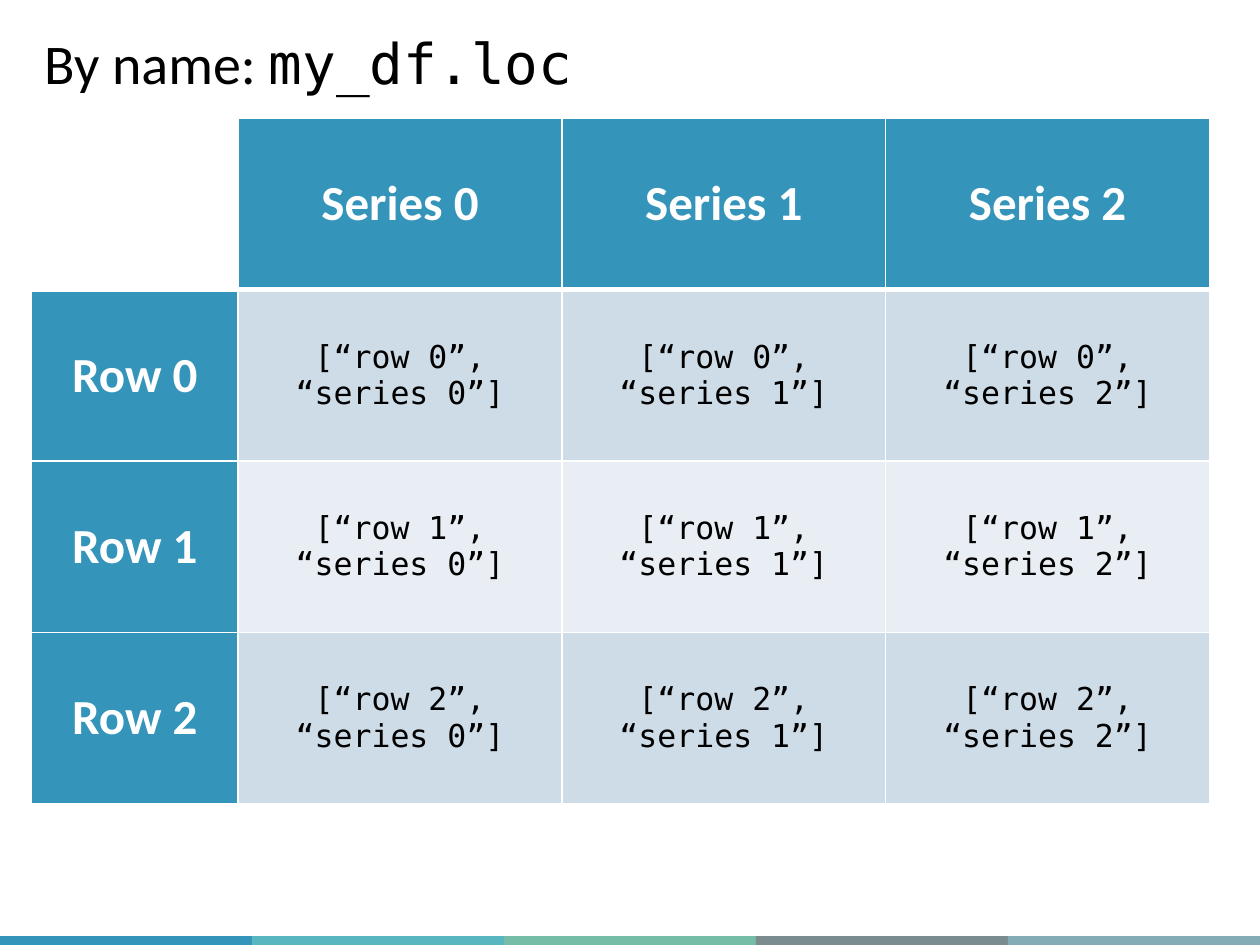
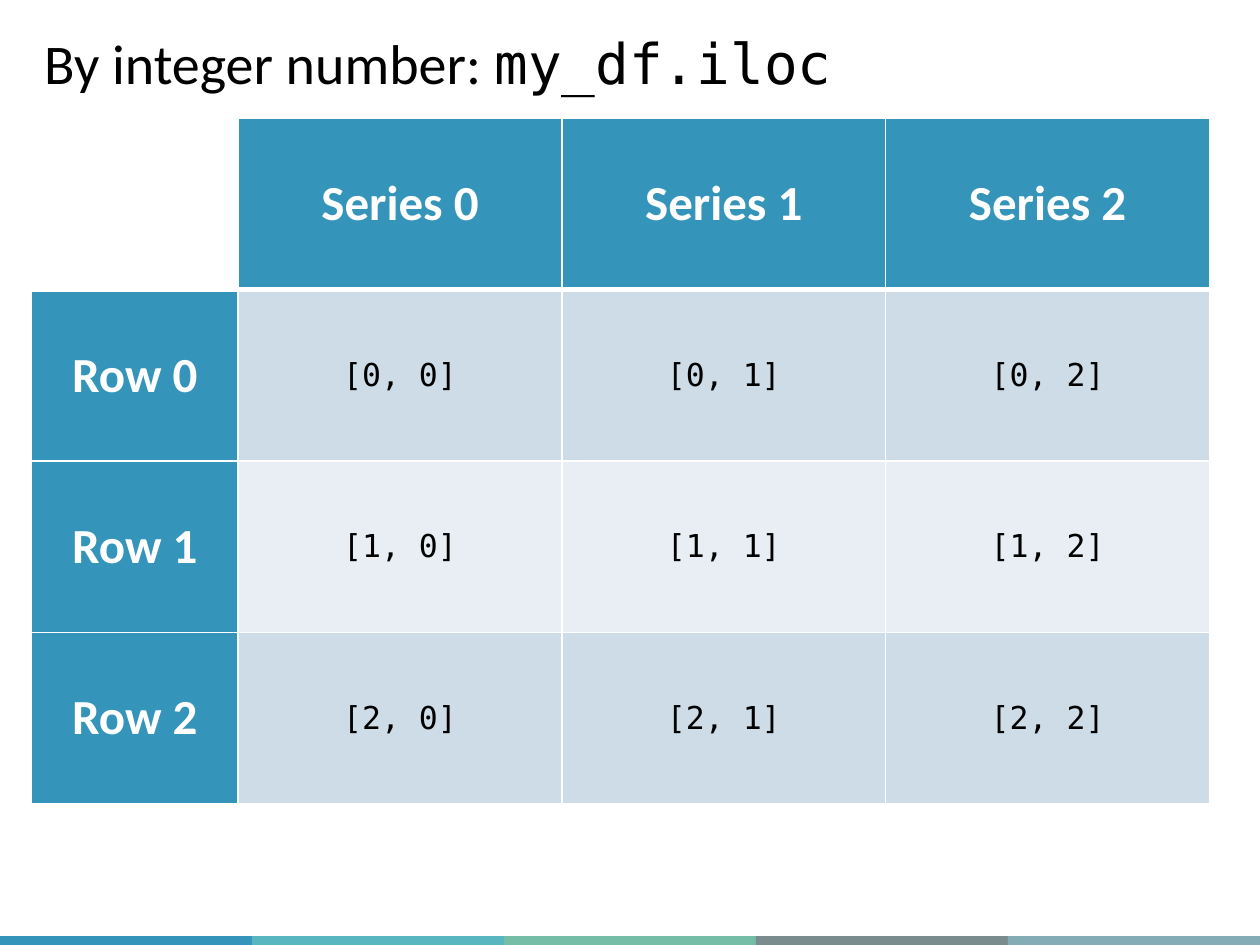
from dataclasses import dataclass

from lxml import etree
from pptx import Presentation
from pptx import util as u
from pptx.dml.color import RGBColor
from pptx.enum import shapes, text
from pptx.oxml import ns

EMU_PER_PX = 9144  # 100 px to the inch
TITLE_ONLY = 5


@dataclass(frozen=True)
class Theme:
    black: str = "000000"
    white: str = "FFFFFF"
    accent: str = "3494BA"
    bands: tuple = ("3494BA", "58B6C0", "75BDA7", "7A8C8E", "84ACB6")
    stripes: tuple = ("CEDCE7", "E8EEF3")
    body_font: str = "Calibri"
    code_font: str = "DejaVu Sans Mono"
    title_size: int = 32
    header_size: int = 28
    code_size: int = 18
    thin_line: int = 1
    thick_line: int = 3


def px(length):
    return u.Emu(length * EMU_PER_PX)


def apply_format(target, values):
    for name, value in values.items():
        setattr(target, name, value)


class Deck:
    """Holds the theme and the slide being built."""

    def __init__(self, theme):
        self.theme = theme
        self.presentation = Presentation()
        apply_format(self.presentation, {"slide_width": px(1000), "slide_height": px(750)})
        self.slide = None
        self.header_format = {"name": theme.body_font, "size": u.Pt(theme.header_size), "bold": True}
        self.code_format = {"name": theme.code_font, "size": u.Pt(theme.code_size), "bold": False}

    def add_slide(self):
        layout = self.presentation.slide_layouts[TITLE_ONLY]
        self.slide = self.presentation.slides.add_slide(layout)
        self.add_footer_bands()

    def add_run(self, paragraph, words, font_format, color):
        run = paragraph.add_run()
        run.text = words
        apply_format(run.font, font_format)
        run.font.color.rgb = RGBColor.from_string(color)

    def add_footer_bands(self):
        band_width = 1000 // len(self.theme.bands)
        group = self.slide.shapes.add_group_shape()
        for index, color in enumerate(self.theme.bands):
            band = group.shapes.add_shape(
                shapes.MSO_SHAPE.RECTANGLE, px(index * band_width), px(743), px(band_width), px(13))
            band.shadow.inherit = False
            band.fill.solid()
            band.fill.fore_color.rgb = RGBColor.from_string(color)
            band.line.fill.background()

    def add_title(self, words, code, width):
        title = self.slide.shapes.title
        apply_format(title, {"left": px(25), "top": px(18), "width": px(width), "height": px(64)})
        apply_format(title.text_frame, {
            "word_wrap": False,
            "auto_size": text.MSO_AUTO_SIZE.SHAPE_TO_FIT_TEXT,
            "vertical_anchor": text.MSO_ANCHOR.TOP,
        })
        paragraph = title.text_frame.paragraphs[0]
        paragraph.alignment = text.PP_ALIGN.LEFT
        for part, font in ((words, self.theme.body_font), (code, self.theme.code_font)):
            font_format = {"name": font, "size": u.Pt(self.theme.title_size)}
            self.add_run(paragraph, part, font_format, self.theme.black)

    def add_borders(self, cell, row):
        """Draw white cell edges, thick between the header row and the first row."""
        thick_edge = {0: "lnB", 1: "lnT"}.get(row)
        properties = cell._tc.get_or_add_tcPr()
        for edge in ("lnL", "lnR", "lnT", "lnB"):
            points = self.theme.thick_line if edge == thick_edge else self.theme.thin_line
            line = etree.SubElement(properties, ns.qn(f"a:{edge}"), w=str(u.Pt(points)))
            fill = etree.SubElement(line, ns.qn("a:solidFill"))
            etree.SubElement(fill, ns.qn("a:srgbClr"), val=self.theme.white)

    def add_cell(self, cell, row, column, words):
        theme = self.theme
        self.add_borders(cell, row)
        cell.vertical_anchor = text.MSO_ANCHOR.MIDDLE
        if not words:
            cell.fill.background()
            return
        is_header = row == 0 or column == 0
        fill = theme.accent if is_header else theme.stripes[(row - 1) % 2]
        cell.fill.solid()
        cell.fill.fore_color.rgb = RGBColor.from_string(fill)
        paragraph = cell.text_frame.paragraphs[0]
        paragraph.alignment = text.PP_ALIGN.CENTER
        if is_header:
            self.add_run(paragraph, words, self.header_format, theme.white)
        else:
            self.add_run(paragraph, words, self.code_format, theme.black)

    def add_index_table(self, index_pattern, count=3):
        """Label rows and series, and fill each inner cell from the pattern."""
        size = count + 1
        table = self.slide.shapes.add_table(
            size, size, px(25), px(94), px(164 + 257 * count), px(136 * size)).table
        apply_format(table, {"first_row": False, "horz_banding": False})
        for index in range(size):
            table.columns[index].width = px(257 if index else 164)
            table.rows[index].height = px(136)
        grid = [[""] + [f"Series {series}" for series in range(count)]]
        for row in range(count):
            grid.append([f"Row {row}"] + [
                index_pattern.format(row=row, series=series) for series in range(count)])
        for row, line in enumerate(grid):
            for column, words in enumerate(line):
                self.add_cell(table.cell(row, column), row, column, words)


def main():
    deck = Deck(Theme())
    for words, code, title_width, index_pattern in (
        ("By name: ", "my_df.loc", 443, "[“row {row}”, “series {series}”]"),
        ("By integer number: ", "my_df.iloc", 651, "[{row}, {series}]"),
    ):
        deck.add_slide()
        deck.add_title(words, code, title_width)
        deck.add_index_table(index_pattern)
    deck.presentation.save("out.pptx")


if __name__ == "__main__":
    main()
